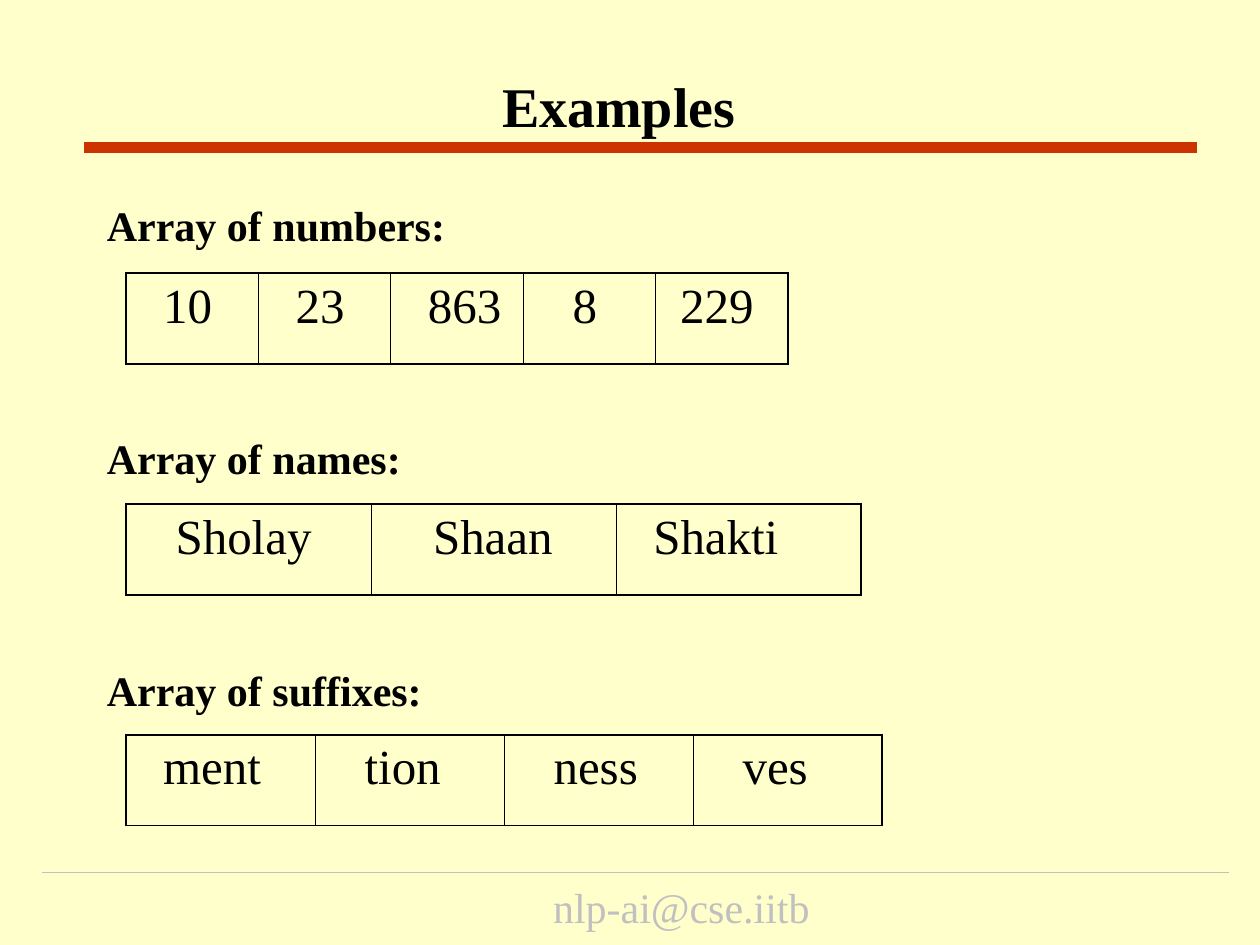
import lxml.etree
import pptx
import pptx.dml.color
import pptx.enum.shapes
import pptx.enum.text
import pptx.oxml.ns
import pptx.util

Cm = pptx.util.Cm
Pt = pptx.util.Pt
qn = pptx.oxml.ns.qn
Align = pptx.enum.text.PP_ALIGN

FONT = "Times New Roman"
INK = "000000"
GREY = "C0C0C0"
STEP = 4.65
ARRAYS = [
    ("Array of numbers:", 13.34, [("10", 2), ("23", 2), ("863", 2), ("8", 3), ("229", 1)]),
    ("Array of names:", 14.82, [("Sholay", 3), ("Shaan", 4), ("Shakti", 2)]),
    ("Array of suffixes:", 15.24, [("ment", 2), ("tion", 3), ("ness", 3), ("ves", 3)]),
]


def tint(code):
    """Return the colour for a hex string."""
    return pptx.dml.color.RGBColor.from_string(code)


def write(frame, text, size=24, color=INK, bold=False, align=Align.LEFT, gap=0):
    """Fill a frame with one paragraph per line, with a gap between them."""
    frame.word_wrap = True
    frame.vertical_anchor = pptx.enum.text.MSO_ANCHOR.TOP
    for spot, line in enumerate(text.split("\n")):
        para = frame.add_paragraph() if spot else frame.paragraphs[0]
        props = para._p.get_or_add_pPr()
        props.set("marL", "0")
        props.set("indent", "0")
        lxml.etree.SubElement(props, qn("a:buNone"))
        para.alignment = align
        para.space_before = Pt(gap if spot else 0)
        run = para.add_run()
        run.text = line
        run.font.name = FONT
        run.font.size = Pt(size)
        run.font.bold = bold
        run.font.color.rgb = tint(color)


def place(shape, left, top, width, height):
    """Move and size a placeholder, and keep its text from shrinking."""
    shape.left, shape.top = Cm(left), Cm(top)
    shape.width, shape.height = Cm(width), Cm(height)
    shape.text_frame.auto_size = pptx.enum.text.MSO_AUTO_SIZE.NONE
    return shape.text_frame


def rule(slide, left, right, y, color, width):
    """Draw a flat horizontal line."""
    kind = pptx.enum.shapes.MSO_CONNECTOR.STRAIGHT
    line = slide.shapes.add_connector(kind, Cm(left), Cm(y), Cm(right), Cm(y))
    line.line.color.rgb = tint(color)
    line.line.width = Pt(width)
    lxml.etree.SubElement(line.element.spPr, qn("a:effectLst"))


def edge(cell, side, width):
    """Add a solid border to one side of a cell."""
    props = cell._tc.get_or_add_tcPr()
    line = lxml.etree.SubElement(props, qn("a:ln" + side), w=str(Pt(width)))
    fill = lxml.etree.SubElement(line, qn("a:solidFill"))
    lxml.etree.SubElement(fill, qn("a:srgbClr"), val=INK)


def array(slide, top, width, items):
    """Draw a one-row table with a thicker outer frame."""
    count = len(items)
    frame = slide.shapes.add_table(1, count, Cm(2.54), Cm(top), Cm(width), Cm(1.83))
    table = frame.table
    table.first_row = table.horz_banding = False
    for col, (text, shift) in enumerate(items):
        cell = table.cell(0, col)
        edge(cell, "L", 0.45 if col else 1.08)
        edge(cell, "R", 0.45 if col < count - 1 else 1.08)
        edge(cell, "T", 1.08)
        edge(cell, "B", 1.08)
        cell.fill.background()
        cell.margin_left = Cm(0.25 + 0.25 * shift)
        cell.margin_right = Cm(0.25)
        write(cell.text_frame, text, size=28)


def main():
    """Build the slide and save it."""
    deck = pptx.Presentation()
    deck.slide_width, deck.slide_height = Cm(25.4), Cm(19.05)
    slide = deck.slides.add_slide(deck.slide_layouts[1])
    slide.background.fill.solid()
    slide.background.fill.fore_color.rgb = tint("FFFFCC")

    title = place(slide.shapes.title, 1.68, 1.32, 21.59, 1.6)
    write(title, "Examples", size=32, bold=True, align=Align.CENTER)
    body = place(slide.placeholders[1], 1.9, 3.9, 21.59, 10.54)
    heads = "\n".join(head for head, width, items in ARRAYS)
    write(body, heads, bold=True, gap=104)

    rule(slide, 1.7, 24.13, 2.97, "CC3300", 6)
    rule(slide, 0.84, 24.77, 17.58, GREY, 0.25)
    for row, (head, width, items) in enumerate(ARRAYS):
        array(slide, 5.51 + row * STEP, width, items)

    foot = slide.shapes.add_textbox(Cm(10.9), Cm(17.65), Cm(10.7), Cm(1.2))
    write(foot.text_frame, "nlp-ai@cse.iitb", color=GREY)
    deck.save("out.pptx")


if __name__ == "__main__":
    main()
